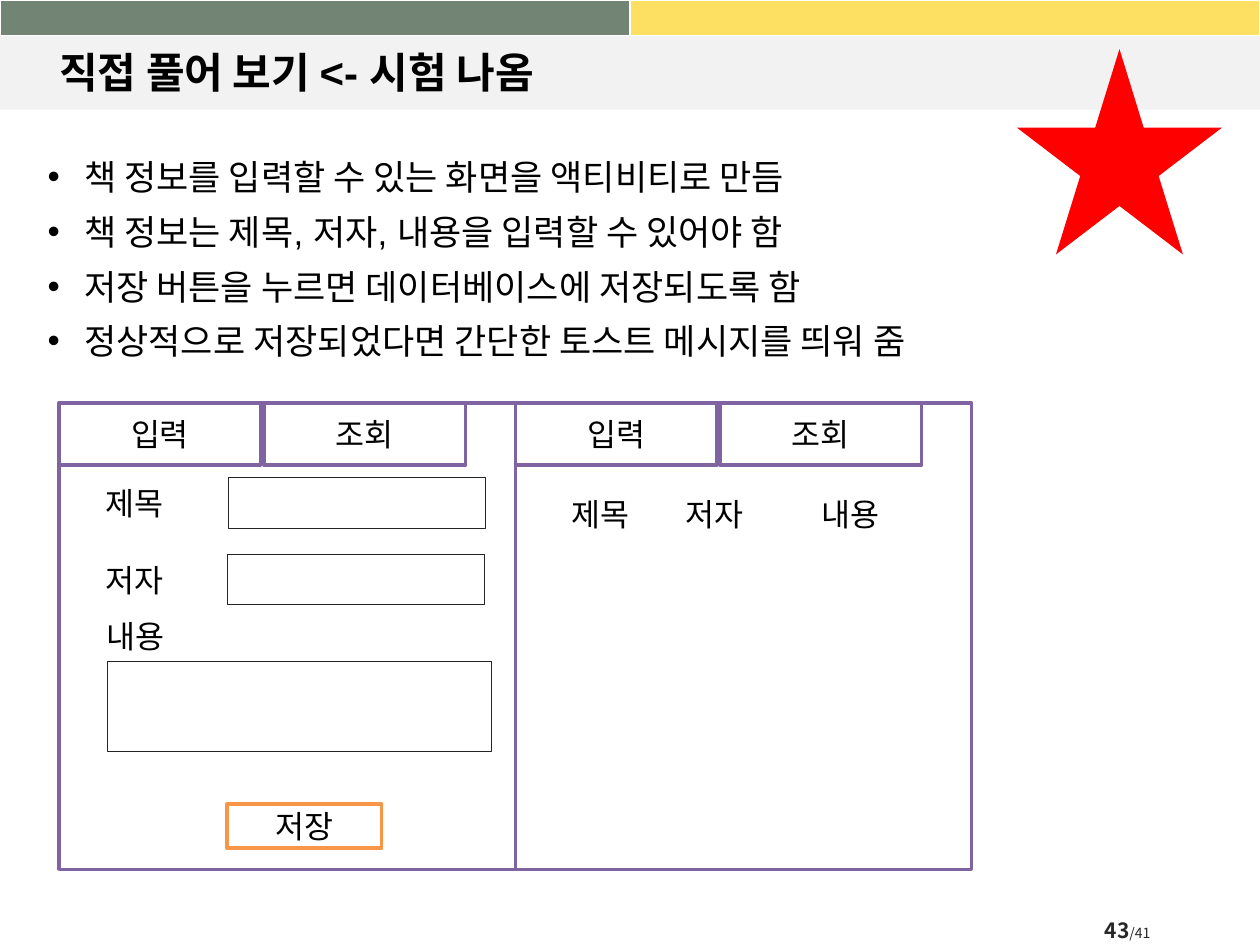
from dataclasses import dataclass

from lxml import etree
from pptx import Presentation
from pptx.dml.color import RGBColor
from pptx.enum.shapes import MSO_SHAPE
from pptx.enum.text import MSO_ANCHOR, PP_ALIGN
from pptx.oxml.ns import qn
from pptx.util import Inches, Pt

RECTANGLE, STAR = MSO_SHAPE.RECTANGLE, MSO_SHAPE.STAR_5_POINT
MIDDLE, TOP = MSO_ANCHOR.MIDDLE, MSO_ANCHOR.TOP
CENTER, LEFT = PP_ALIGN.CENTER, PP_ALIGN.LEFT

COLUMNS, ROWS = 100, 75
CELL = Inches(0.1)
COLORS = {
    "white": "FFFFFF", "black": "000000", "ink": "262626", "field": "242424",
    "green": "728574", "yellow": "FDDF62", "band": "F2F2F2",
    "purple": "8064A2", "orange": "F79646", "red": "FF0000",
}
HEADING = {"name": "Arial", "size": Pt(24), "bold": True}
BODY = {"name": "Arial", "size": Pt(20)}
LABEL = {"name": "Noto Sans CJK KR", "size": Pt(18)}
PAGE = {"name": "Noto Sans CJK KR", "size": Pt(12), "bold": True}
TOTAL = {"name": "Noto Sans CJK KR", "size": Pt(8), "bold": False}

TASKS = [
    "책 정보를 입력할 수 있는 화면을 액티비티로 만듬",
    "책 정보는 제목, 저자, 내용을 입력할 수 있어야 함",
    "저장 버튼을 누르면 데이터베이스에 저장되도록 함",
    "정상적으로 저장되었다면 간단한 토스트 메시지를 띄워 줌",
]
TABS = ["입력", "조회"]


@dataclass
class Box:
    left: float
    top: float
    width: float
    height: float

    def inner(self, left, top, width, height):
        return Box(self.left + left, self.top + top, width, height)

    def lengths(self):
        return [round(n * CELL) for n in (self.left, self.top, self.width, self.height)]


def rgb(color):
    return RGBColor.from_string(COLORS[color])


def apply(target, values):
    for name, value in values.items():
        setattr(target, name, value)


def add_run(paragraph, text, style, color="black"):
    run = paragraph.add_run()
    run.text = text
    apply(run.font, style)
    run.font.color.rgb = rgb(color)
    if style["name"] != "Arial":
        east_asian = etree.Element(qn("a:ea"), typeface=style["name"])
        run.font._element.find(qn("a:latin")).addnext(east_asian)


def add_block(slide, box, fill, line=None, weight=0, text=None, kind=RECTANGLE):
    block = slide.shapes.add_shape(kind, *box.lengths())
    block.shadow.inherit = False
    block.fill.solid()
    block.fill.fore_color.rgb = rgb(fill)
    if line:
        block.line.color.rgb = rgb(line)
        block.line.width = Pt(weight)
    else:
        block.line.fill.background()
    if text:
        block.text_frame.vertical_anchor = MIDDLE
        paragraph = block.text_frame.paragraphs[0]
        paragraph.alignment = CENTER
        add_run(paragraph, text, LABEL)


def add_frame(slide, box, **format_values):
    frame = slide.shapes.add_textbox(*box.lengths()).text_frame
    apply(frame, {"word_wrap": True, "vertical_anchor": TOP, **format_values})
    return frame


def add_label(slide, box, text):
    add_run(add_frame(slide, box).paragraphs[0], text, LABEL)


def add_banner(slide, box):
    add_block(slide, box.inner(0, 2.8, box.width, 5.9), "band")
    strip = slide.shapes.add_table(1, 2, *box.inner(0, 0, box.width, 2.8).lengths()).table
    for cell, color in zip(strip.rows[0].cells, ("green", "yellow")):
        apply(cell, dict.fromkeys(
            ("margin_left", "margin_right", "margin_top", "margin_bottom"), 0))
        cell.fill.solid()
        cell.fill.fore_color.rgb = rgb(color)
        paragraph = cell.text_frame.paragraphs[0]
        etree.SubElement(paragraph._p, qn("a:endParaRPr"), sz="800")


def add_title(slide, box, text):
    title = slide.shapes.title
    slide.shapes._spTree.append(title._element)
    apply(title, dict(zip(("left", "top", "width", "height"), box.lengths())))
    apply(title.text_frame, {
        "vertical_anchor": MIDDLE, "word_wrap": True, "margin_left": Inches(0.19)})
    paragraph = title.text_frame.paragraphs[0]
    paragraph.alignment = LEFT
    add_run(paragraph, text, HEADING)


def add_tasks(slide, box):
    frame = add_frame(slide, box)
    for index, task in enumerate(TASKS):
        paragraph = frame.add_paragraph() if index else frame.paragraphs[0]
        properties = paragraph._p.get_or_add_pPr()
        properties.set("marL", str(Inches(0.29)))
        properties.set("indent", str(-Inches(0.29)))
        etree.SubElement(properties, qn("a:buFont"), typeface="Arial")
        etree.SubElement(properties, qn("a:buChar"), char="•")
        apply(paragraph, {"line_spacing": 1.1, "space_before": Pt(5 if index else 0)})
        add_run(paragraph, task, BODY)


def add_screen(slide, box):
    add_block(slide, box, "white", "purple", 2)
    for index, tab in enumerate(TABS):
        add_block(slide, box.inner(index * 16.25, 0, 16, 4.9), "white", "purple", 2, tab)


def add_input_screen(slide, box):
    add_screen(slide, box)
    for text, left, top in (("제목", 2.7, 5.9), ("저자", 2.7, 12), ("내용", 2.8, 16.5)):
        add_label(slide, box.inner(left, top, 21.5, 4), text)
    for field in ((13.4, 5.9, 20.4, 4), (13.3, 12, 20.4, 4), (3.8, 20.5, 30.5, 7.1)):
        add_block(slide, box.inner(*field), "white", "field", 0.25)
    add_block(slide, box.inner(13.3, 31.8, 12.3, 3.5), "white", "orange", 2, "저장")


def add_list_screen(slide, box):
    add_screen(slide, box)
    for text, left in (("제목", 3.5), ("저자", 12.5), ("내용", 23.3)):
        add_label(slide, box.inner(left, 6.8, 9, 4), text)


def add_page_number(slide, box):
    frame = add_frame(slide, box, word_wrap=False, vertical_anchor=MIDDLE,
                      margin_left=0, margin_right=0)
    paragraph = frame.paragraphs[0]
    paragraph.alignment = CENTER
    add_run(paragraph, "43", PAGE, "ink")
    add_run(paragraph, "/41", TOTAL, "ink")


def main():
    deck = Presentation()
    deck.slide_width, deck.slide_height = COLUMNS * CELL, ROWS * CELL
    slide = deck.slides.add_slide(deck.slide_layouts[5])
    page = Box(0, 0, COLUMNS, ROWS)
    input_screen = page.inner(4.7, 32, 36.2, 37)
    add_banner(slide, page.inner(0, 0, COLUMNS, 8.7))
    add_page_number(slide, page.inner(84.7, 72.5, 9.6, 2.6))
    add_tasks(slide, page.inner(2.8, 11.5, 94.5, 58.3))
    add_title(slide, page.inner(2.8, 2.9, 94.5, 5.6), "직접 풀어 보기 <- 시험 나옴")
    add_input_screen(slide, input_screen)
    add_list_screen(slide, input_screen.inner(input_screen.width, 0, 36.2, 37))
    add_block(slide, page.inner(80.7, 3.9, 16.3, 16.3), "red", kind=STAR)
    deck.save("out.pptx")


if __name__ == "__main__":
    main()
